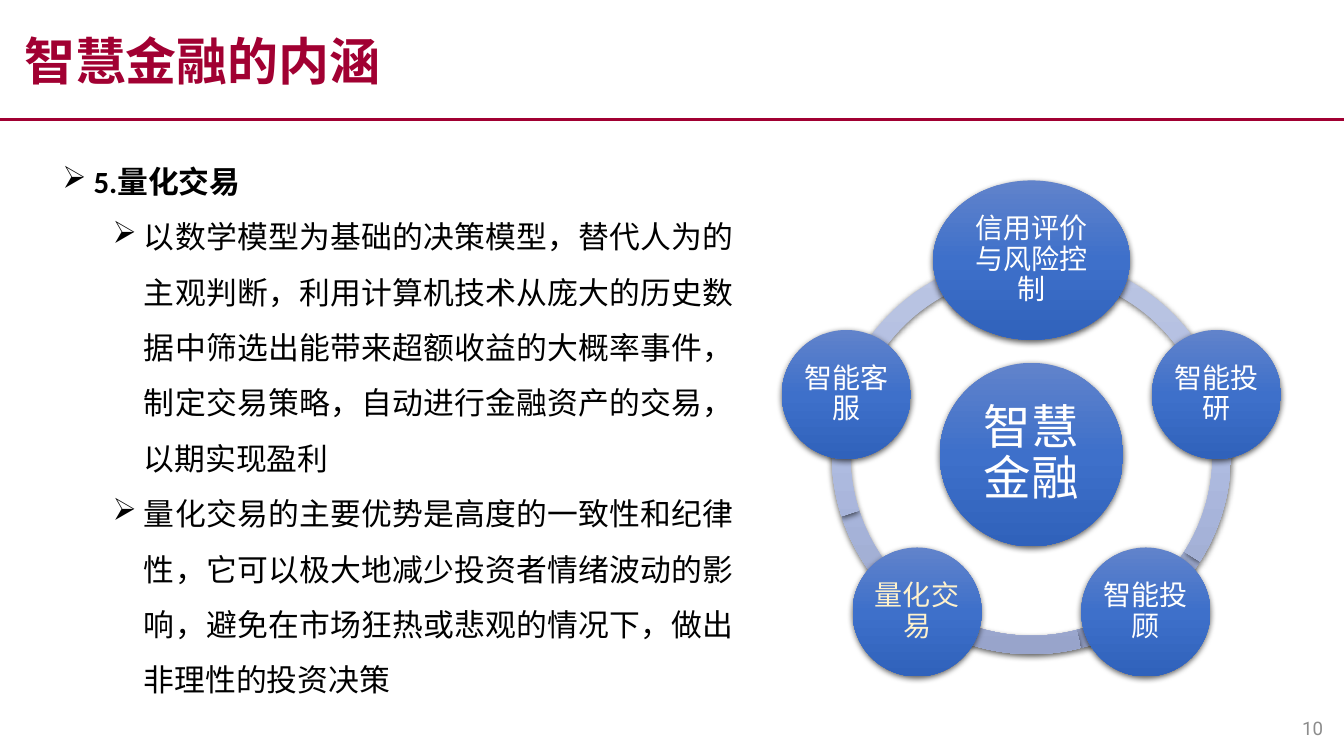
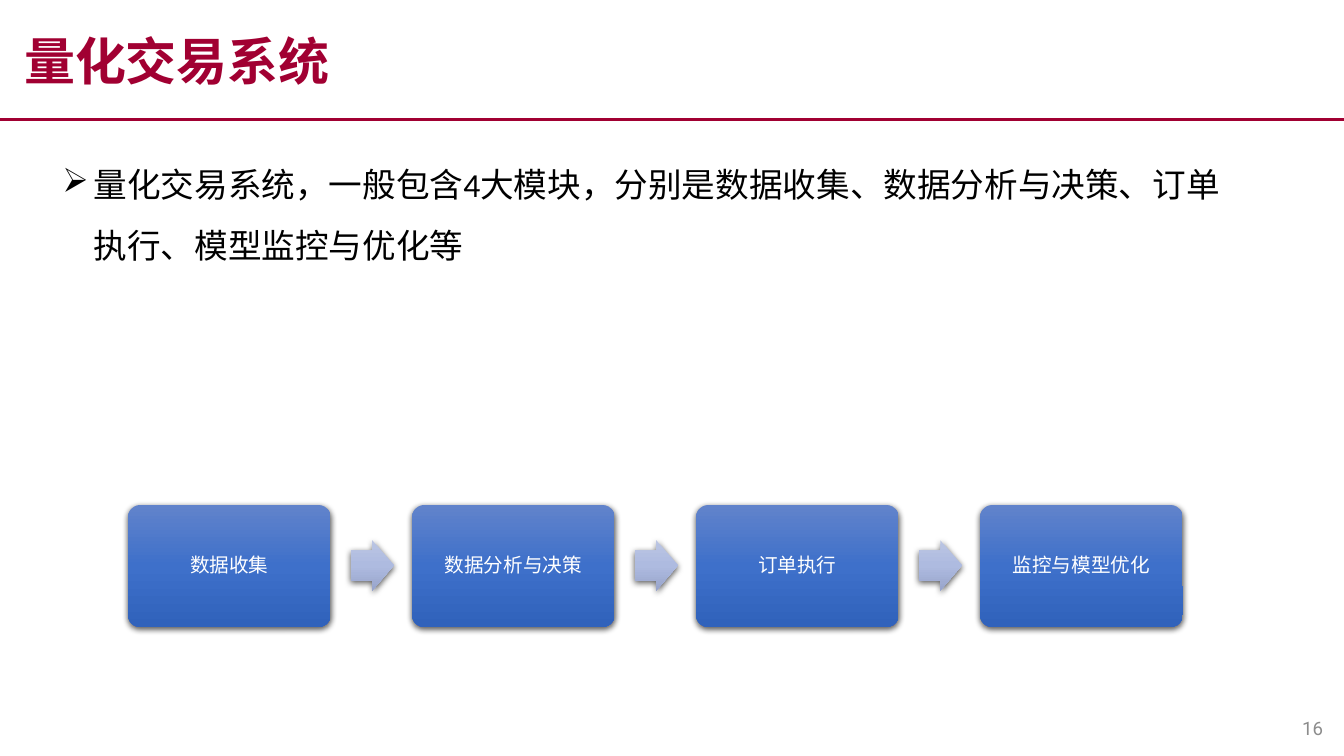
from copy import deepcopy
from dataclasses import dataclass
from math import cos, radians, sin

from lxml.etree import SubElement
from pptx import Presentation
from pptx.dml.color import RGBColor
from pptx.enum.shapes import MSO_CONNECTOR, MSO_SHAPE as Preset
from pptx.enum.text import MSO_ANCHOR as Anchor, PP_ALIGN as Align
from pptx.oxml.ns import qn
from pptx.util import Inches, Pt


@dataclass(frozen=True)
class Theme:
    accent: str = "A10032"
    body: str = "000000"
    page: str = "8C8C8C"
    light: str = "FFFFFF"
    highlight: str = "FFF2CC"
    node: tuple = ("6183CB", "3E70CA", "3062BB")
    link: tuple = ("BBC5E3", "AEBBE0", "98A4CB")
    latin_font: str = "Calibri"
    cjk_font: str = "Noto Sans CJK SC"
    page_font: str = "Roboto"
    title_size: float = 36.4
    page_size: float = 13.3
    detail_size: int = 22
    lead_size: int = 24
    hub_size: int = 34
    node_size: int = 20
    step_size: int = 14


class Deck:
    def __init__(self, theme):
        self.theme = theme
        self.prs = Presentation()
        self.prs.slide_width = Inches(13.33)
        self.prs.slide_height = Inches(7.5)
        self.slide = None

    def add_slide(self, title, page):
        """Start a slide with its rule, page number and title."""
        t = self.theme
        self.slide = self.prs.slides.add_slide(self.prs.slide_layouts[6])
        rule = self.slide.shapes.add_connector(
            MSO_CONNECTOR.STRAIGHT, 0, Inches(1.19), self.prs.slide_width, Inches(1.19))
        rule.line.color.rgb = RGBColor.from_string(t.accent)
        rule.line.width = Pt(2.25)
        SubElement(rule._element.spPr, qn("a:effectLst"))

        number = self.text_frame(10.11, 7.02, 3.11, 0.4, Anchor.MIDDLE).paragraphs[0]
        number.text = str(page)
        number.alignment = Align.RIGHT
        self.style(number, t.page_size, t.page, t.page_font)

        frame = self.text_frame(0.11, -0.03, 11.88, 1.25, Anchor.MIDDLE)
        self.set_margins(frame, 0.13, 0.07)
        heading = frame.paragraphs[0]
        heading.text = title
        self.style(heading, t.title_size, t.accent, t.cjk_font, bold=True)

    def text_frame(self, left, top, width, height, anchor=Anchor.TOP):
        box = self.slide.shapes.add_textbox(
            Inches(left), Inches(top), Inches(width), Inches(height))
        frame = box.text_frame
        frame.word_wrap = True
        frame.vertical_anchor = anchor
        return frame

    @staticmethod
    def set_margins(frame, horizontal, vertical):
        frame.margin_left = frame.margin_right = Inches(horizontal)
        frame.margin_top = frame.margin_bottom = Inches(vertical)

    def style(self, paragraph, size, color, font=None, bold=False):
        paragraph.font.size = Pt(size)
        paragraph.font.bold = bold
        paragraph.font.color.rgb = RGBColor.from_string(color)
        paragraph.font.name = font or self.theme.latin_font
        properties = paragraph._p.pPr.find(qn("a:defRPr"))
        SubElement(properties, qn("a:ea"), typeface=self.theme.cjk_font)

    def bullets(self, width, height, items, size, align=None):
        """Write items of (level, bold, text) below the rule."""
        frame = self.text_frame(0.52, 1.38, width, height)
        for i, (level, bold, text) in enumerate(items):
            item = frame.add_paragraph() if i else frame.paragraphs[0]
            item.text = text
            item.level = level
            item.alignment = align
            item.line_spacing = 1.5
            properties = item._p.get_or_add_pPr()
            properties.set("marL", str(Inches(0.31 + 0.5 * level)))
            properties.set("indent", str(Inches(-0.31)))
            SubElement(properties, qn("a:buChar"), char="➢")
            self.style(item, size, self.theme.body, bold=bold)

    def shape(self, preset, left, top, width, height, colors, adjust=()):
        """Add a preset shape with a vertical gradient and a soft shadow."""
        shape = self.slide.shapes.add_shape(
            preset, Inches(left), Inches(top), Inches(width), Inches(height))
        for i, value in enumerate(adjust):
            shape.adjustments[i] = value
        shape.line.fill.background()

        shape.fill.gradient()
        shape.fill.gradient_angle = 270
        stop_list = shape._element.spPr.find(".//" + qn("a:gsLst"))
        stop_list.append(deepcopy(stop_list[0]))
        for stop, position, color in zip(shape.fill.gradient_stops, (0, 0.5, 1), colors):
            stop.position = position
            stop.color.rgb = RGBColor.from_string(color)

        shape.shadow.inherit = False
        effects = shape._element.spPr.find(qn("a:effectLst"))
        shadow = SubElement(effects, qn("a:outerShdw"), blurRad=str(Pt(4.5)),
                            dist=str(Pt(1.5)), dir="5400000", rotWithShape="0")
        black = SubElement(shadow, qn("a:srgbClr"), val="000000")
        SubElement(black, qn("a:alpha"), val="63000")
        return shape

    def node(self, preset, left, top, width, height, text, size, margin,
             color=None, adjust=()):
        """Add a blue shape with a centred label."""
        shape = self.shape(preset, left, top, width, height, self.theme.node, adjust)
        frame = shape.text_frame
        frame.word_wrap = True
        frame.vertical_anchor = Anchor.MIDDLE
        self.set_margins(frame, margin, margin)
        label = frame.paragraphs[0]
        label.text = text
        label.alignment = Align.CENTER
        label.line_spacing = 0.9
        self.style(label, size, color or self.theme.light)

    def ellipse(self, center_x, center_y, width, height, text, size, margin, color=None):
        self.node(Preset.OVAL, center_x - width / 2, center_y - height / 2,
                  width, height, text, size, margin, color)

    def wheel(self, hub, topics, current):
        """Place topics clockwise from the top of a ring around the hub."""
        t = self.theme
        center_x, center_y, ring, orbit = 10.23, 4.51, 3.96, 1.93
        joints = [32.4 + 43.2 * k for k in range(5)]
        for start, end in zip(joints, joints[1:] + joints[:1]):
            self.shape(Preset.BLOCK_ARC, center_x - ring / 2, center_y - ring / 2,
                       ring, ring, t.link, (start * 0.6, end * 0.6, 0.046))
        self.ellipse(center_x, center_y, 1.82, 1.82, hub, t.hub_size, 0.05)
        for i, topic in enumerate(topics):
            angle = radians(360 / len(topics) * i - 90)
            width, height = (1.28, 1.28) if i else (1.95, 1.58)
            self.ellipse(center_x + orbit * cos(angle), center_y + orbit * sin(angle),
                         width, height, topic, t.node_size, 0.03,
                         t.highlight if topic == current else None)

    def flow(self, steps):
        """Place steps in a row with an arrow between neighbours."""
        left, pitch = 1.27, 2.817
        for i, step in enumerate(steps):
            x = left + pitch * i
            if i:
                self.shape(Preset.RIGHT_ARROW, x - 0.61, 5.36, 0.43, 0.5,
                           self.theme.link, (0.6, 0.5))
            self.node(Preset.ROUNDED_RECTANGLE, x, 5.01, 2.01, 1.21, step,
                      self.theme.step_size, 0.06, adjust=(0.1,))


def main():
    theme = Theme()
    deck = Deck(theme)

    deck.add_slide("智慧金融的内涵", 10)
    deck.bullets(6.86, 5.65, [
        (0, True, "5.量化交易"),
        (1, False, "以数学模型为基础的决策模型，替代人为的主观判断，利用计算机技术从庞大的"
                   "历史数据中筛选出能带来超额收益的大概率事件，制定交易策略，自动进行金融资产"
                   "的交易，以期实现盈利"),
        (1, False, "量化交易的主要优势是高度的一致性和纪律性，它可以极大地减少投资者情绪波动"
                   "的影响，避免在市场狂热或悲观的情况下，做出非理性的投资决策"),
    ], theme.detail_size, Align.JUSTIFY)
    deck.wheel("智慧金融",
               ["信用评价与风险控制", "智能投研", "智能投顾", "量化交易", "智能客服"],
               current="量化交易")

    deck.add_slide("量化交易系统", 16)
    deck.bullets(11.85, 1.24, [
        (0, False, "量化交易系统，一般包含4大模块，分别是数据收集、数据分析与决策、订单执行、"
                   "模型监控与优化等"),
    ], theme.lead_size)
    deck.flow(["数据收集", "数据分析与决策", "订单执行", "监控与模型优化"])

    deck.prs.save("out.pptx")


if __name__ == "__main__":
    main()
